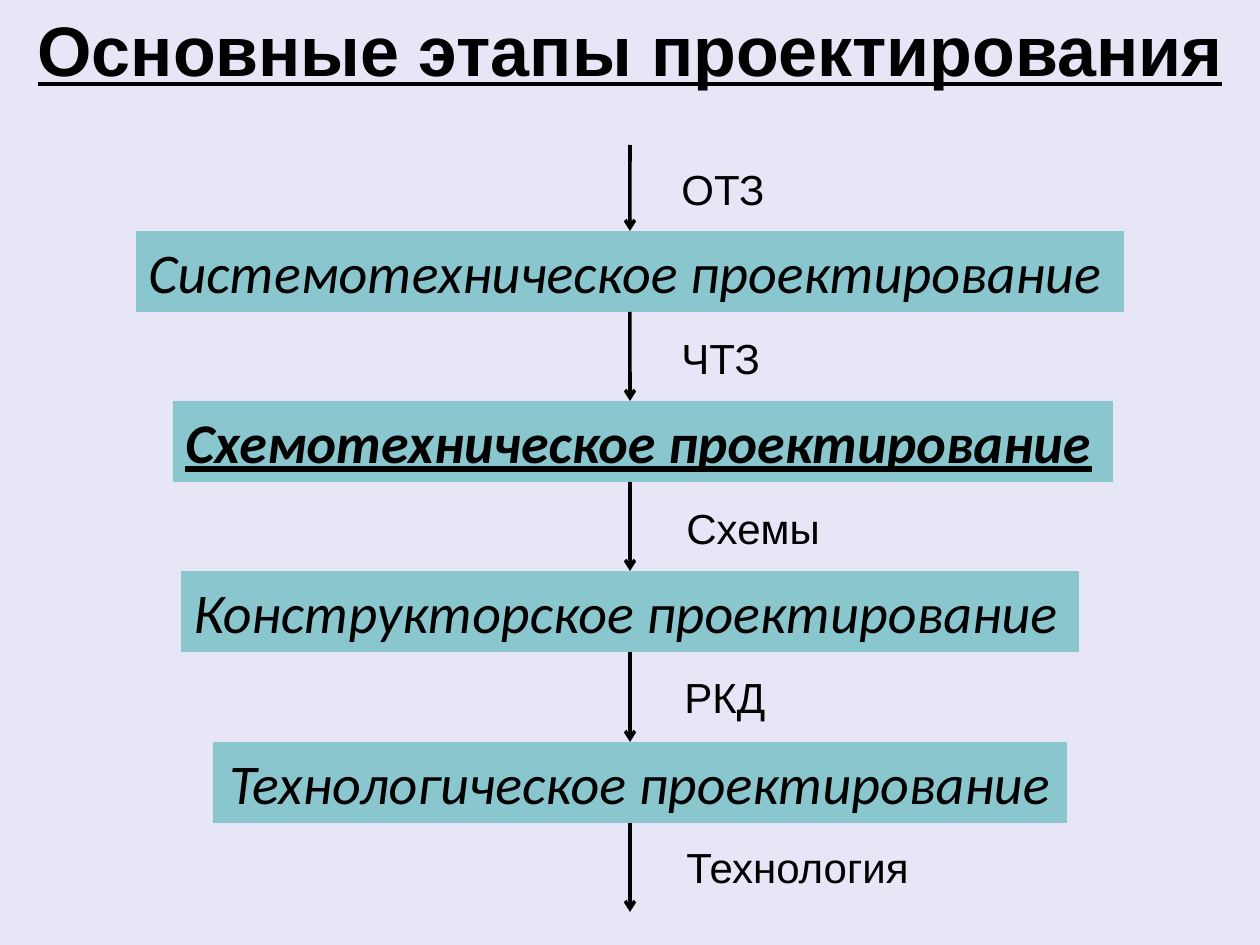
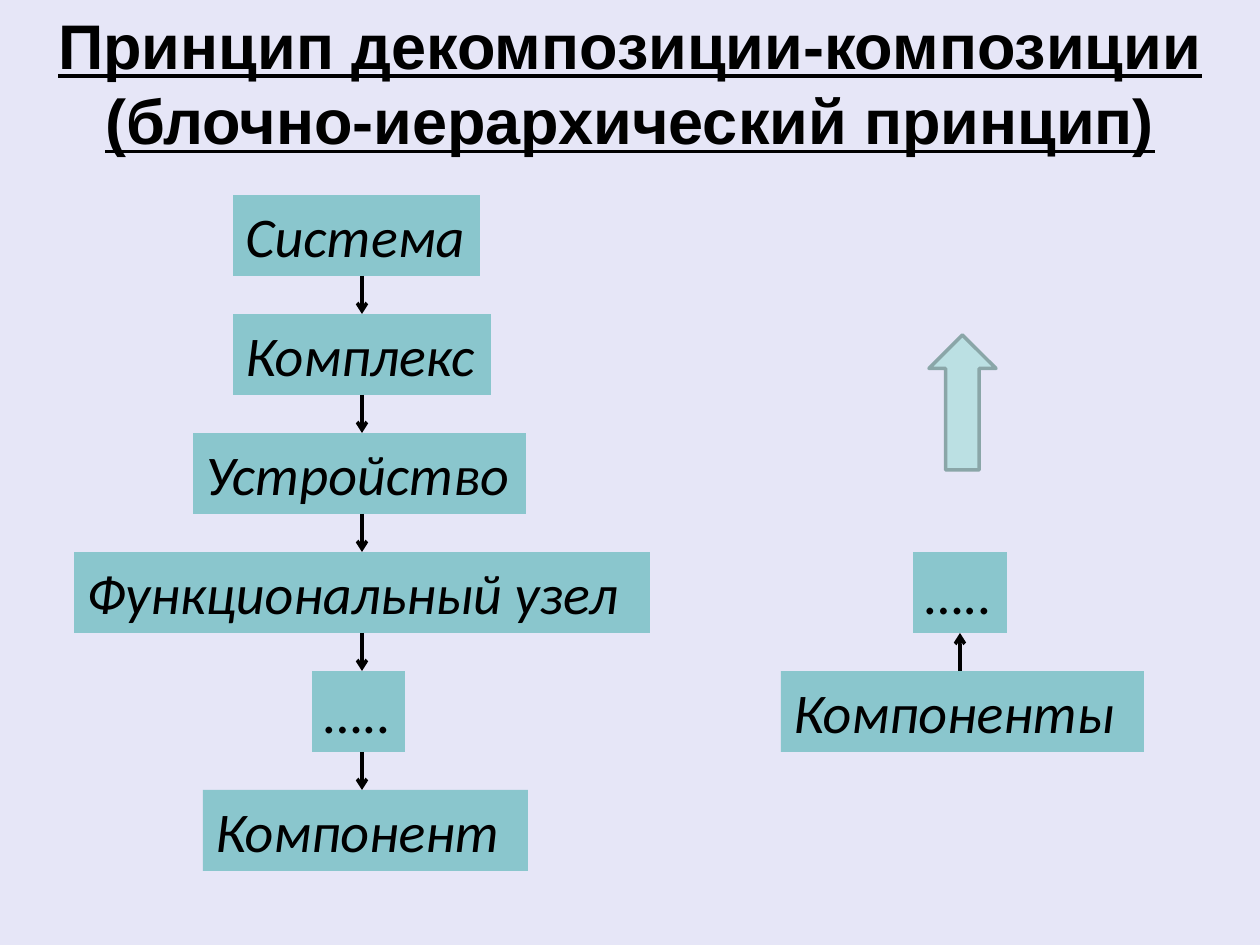
from dataclasses import dataclass

from lxml.etree import SubElement
from pptx import Presentation
from pptx.dml.color import RGBColor as Rgb
from pptx.enum.shapes import MSO_CONNECTOR as Connector, MSO_SHAPE as Shape
from pptx.enum.text import MSO_ANCHOR as Anchor, PP_ALIGN as Align
from pptx.oxml.ns import qn
from pptx.util import Emu, Pt

PAGE_WIDTH, PAGE_HEIGHT = 1260, 945
BOX_HEIGHT = 81
LABEL_HEIGHT = 63
TOP, BOTTOM = 0, 2  # connection sites of a rectangle


def px(length):
    return Emu(round(length * 914400 / 126))


@dataclass(frozen=True)
class Theme:
    background: str = "E6E6F7"
    ink: str = "000000"
    box_fill: str = "8AC6CD"
    arrow_fill: str = "BBE0E3"
    arrow_edge: str = "8AA6A8"
    text_font: str = "Arial"
    box_font: str = "Calibri"
    box_size: int = 32
    label_size: int = 24
    line_width: int = 2


class Painter:
    def __init__(self, deck, theme):
        self.deck, self.theme, self.page = deck, theme, None

    def new_page(self):
        self.page = self.deck.slides.add_slide(self.deck.slide_layouts[6])
        fill = self.page.background.fill
        fill.solid()
        fill.fore_color.rgb = Rgb.from_string(self.theme.background)

    def put_text(self, shape, lines, size, font, align=Align.LEFT, **style):
        frame = shape.text_frame
        frame.word_wrap = True
        frame.vertical_anchor = Anchor.TOP
        style = {"name": font, "size": Pt(size), **style}
        for i, line in enumerate(lines):
            para = frame.add_paragraph() if i else frame.paragraphs[0]
            para.alignment = align
            span = para.add_run()
            span.text = line
            span.font.color.rgb = Rgb.from_string(self.theme.ink)
            for name, value in style.items():
                setattr(span.font, name, value)

    def text_box(self, left, top, width, height):
        return self.page.shapes.add_textbox(*map(px, (left, top, width, height)))

    def title(self, lines, size, height):
        self.put_text(self.text_box(0, 0, PAGE_WIDTH, height), lines, size,
                      self.theme.text_font, Align.CENTER, bold=True, underline=True)

    def label(self, text, left, top, width):
        self.put_text(self.text_box(left, top, width, LABEL_HEIGHT), [text],
                      self.theme.label_size, self.theme.text_font)

    def shape(self, kind, left, top, width, height, fill, edge=None):
        shape = self.page.shapes.add_shape(kind, *map(px, (left, top, width, height)))
        shape.shadow.inherit = False
        shape.fill.solid()
        shape.fill.fore_color.rgb = Rgb.from_string(fill)
        if edge:
            shape.line.color.rgb = Rgb.from_string(edge)
            shape.line.width = Pt(self.theme.line_width)
        else:
            shape.line.fill.background()
        return shape

    def box(self, text, left, top, width, **style):
        box = self.shape(Shape.RECTANGLE, left, top, width, BOX_HEIGHT, self.theme.box_fill)
        self.put_text(box, [text], self.theme.box_size, self.theme.box_font, italic=True, **style)
        return box

    def arrow(self, x, start, end, source=None, target=None, source_site=BOTTOM, target_site=TOP):
        """Draw a vertical arrow, joined to the boxes that are centred on it."""
        line = self.page.shapes.add_connector(
            Connector.STRAIGHT, px(x), px(start), px(x), px(end))
        line.line.color.rgb = Rgb.from_string(self.theme.ink)
        line.line.width = Pt(self.theme.line_width)
        properties = line._element.spPr
        SubElement(properties.find(qn("a:ln")), qn("a:tailEnd"), type="arrow")
        SubElement(properties, qn("a:effectLst"))
        joins = ((line.begin_connect, source, source_site), (line.end_connect, target, target_site))
        for connect, box, site in joins:
            if box is not None and abs(box.left + box.width // 2 - px(x)) < px(1):
                connect(box, site)


def stages_page(painter):
    painter.new_page()
    painter.title(["Основные этапы проектирования"], 40, 97)

    # Stage boxes
    stages = [
        ("Системотехническое проектирование", 136, 988, {}),
        ("Схемотехническое проектирование", 173, 940, {"bold": True, "underline": True}),
        ("Конструкторское проектирование", 181, 898, {}),
        ("Технологическое проектирование", 213, 854, {"align": Align.CENTER}),
    ]
    tops = [231 + 511 * i // 3 for i in range(len(stages))]
    boxes = [painter.box(text, left, top, width, **style)
             for (text, left, width, style), top in zip(stages, tops)]

    # Arrows into, between and out of the stages
    starts = [145] + [top + BOX_HEIGHT for top in tops]
    for start, end, source, target in zip(starts, tops + [912], [None] + boxes, boxes + [None]):
        painter.arrow(630, start, end, source, target)

    # Documents passed along the arrows
    documents = [("ОТЗ", 669, 110), ("ЧТЗ", 669, 105), ("Схемы", 674, 160),
                 ("РКД", 672, 107), ("Технология", 674, 249)]
    for i, (text, left, width) in enumerate(documents):
        painter.label(text, left, 157 + 339 * i // 2, width)


def decomposition_page(painter):
    painter.new_page()
    painter.title(["Принцип декомпозиции-композиции", "(блочно-иерархический принцип)"], 36, 165)

    # Decomposition, from the system down
    levels = [("Система", 233, 247), ("Комплекс", 233, 258), ("Устройство", 193, 333),
              ("Функциональный узел", 74, 576), ("…..", 312, 93), ("Компонент", 203, 325)]
    tops = [195 + 119 * i for i in range(len(levels))]
    boxes = [painter.box(text, left, top, width)
             for (text, left, width), top in zip(levels, tops)]
    for top, end, source, target in zip(tops, tops[1:], boxes, boxes[1:]):
        painter.arrow(362, top + BOX_HEIGHT, end, source, target)

    # Composition, from the components up
    parts = painter.box("Компоненты", 781, tops[4], 363)
    whole = painter.box("…..", 913, tops[3], 94)
    painter.arrow(960, tops[4], tops[3] + BOX_HEIGHT, parts, whole, TOP, BOTTOM)
    painter.shape(Shape.UP_ARROW, 929, 335, 67, 135,
                  painter.theme.arrow_fill, painter.theme.arrow_edge)


def main():
    deck = Presentation()
    deck.slide_width, deck.slide_height = px(PAGE_WIDTH), px(PAGE_HEIGHT)
    painter = Painter(deck, Theme())
    stages_page(painter)
    decomposition_page(painter)
    deck.save("out.pptx")


if __name__ == "__main__":
    main()
